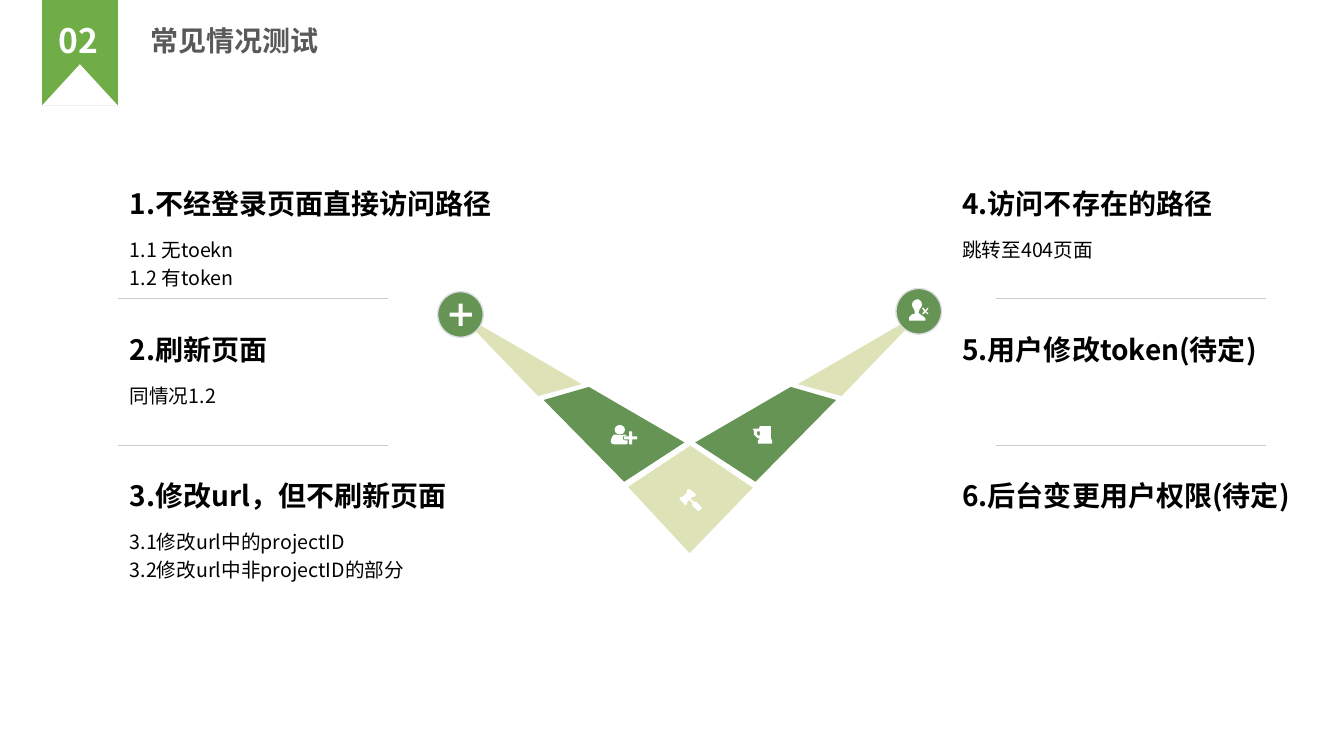
"""Build the slide on common test situations."""
from dataclasses import dataclass

from lxml.etree import SubElement
from pptx import Presentation
from pptx.dml.color import RGBColor
from pptx.enum.shapes import MSO_CONNECTOR, MSO_SHAPE
from pptx.enum.text import MSO_AUTO_SIZE, PP_ALIGN
from pptx.oxml.ns import qn
from pptx.util import Cm, Pt

FONT = "Noto Sans CJK SC"
WHITE = RGBColor(0xFF, 0xFF, 0xFF)
BLACK = RGBColor(0x00, 0x00, 0x00)
GREY = RGBColor(0x59, 0x59, 0x59)
RIBBON = RGBColor(0x70, 0xAD, 0x47)
GREEN = RGBColor(0x66, 0x94, 0x55)
PALE = RGBColor(0xDD, 0xE2, 0xB7)
RING = RGBColor(0xDC, 0xDE, 0xE0)
RULE = RGBColor(0xCC, 0xCC, 0xCC)

Outline = list[tuple[float, float]]
MIRROR_SUM = 34.77
FIRST_ROW, ROW_STEP = 4.7, 3.68
HEADING_WIDTH, BODY_WIDTH = 9.5, 7.26
FIRST_RULE, RULE_STEP, RULE_WIDTH = 7.52, 3.71, 6.81


@dataclass
class Case:
    heading: str
    body: str = ""


@dataclass
class Column:
    left: float
    rule_left: float
    cases: list[Case]


@dataclass
class Preset:
    kind: MSO_SHAPE
    left: float
    top: float
    width: float
    height: float
    fill: RGBColor = WHITE
    line: RGBColor | None = None
    adjustment: float | None = None


@dataclass
class TextStyle:
    size: int
    color: RGBColor = BLACK
    bold: bool = True
    align: PP_ALIGN = PP_ALIGN.LEFT
    spacing: float = 1.0


HEADING = TextStyle(20)
BODY = TextStyle(14, bold=False, spacing=1.2)

COLUMNS = [
    Column(3.27, 2.97, [
        Case("1.不经登录页面直接访问路径", "1.1 无toekn\n1.2 有token"),
        Case("2.刷新页面", "同情况1.2"),
        Case("3.修改url，但不刷新页面",
             "3.1修改url中的projectID\n3.2修改url中非projectID的部分"),
    ]),
    Column(24.25, 25.1, [
        Case("4.访问不存在的路径", "跳转至404页面"),
        Case("5.用户修改token(待定)"),
        Case("6.后台变更用户权限(待定)"),
    ]),
]

RIBBON_PARTS = [
    Preset(MSO_SHAPE.RECTANGLE, 1.06, 0, 1.91, 2.66, RIBBON),
    Preset(MSO_SHAPE.ISOSCELES_TRIANGLE, 1.06, 1.62, 1.91, 1.04),
]
BADGE_PARTS = [
    Preset(MSO_SHAPE.OVAL, 11.03, 7.35, 1.15, 1.15, GREEN, RING),
    Preset(MSO_SHAPE.OVAL, 22.58, 7.27, 1.15, 1.15, GREEN, RING),
    Preset(MSO_SHAPE.CROSS, 11.33, 7.65, 0.56, 0.56, adjustment=0.41),
    Preset(MSO_SHAPE.OVAL, 15.49, 10.71, 0.26, 0.24),
    Preset(MSO_SHAPE.CROSS, 15.73, 10.87, 0.33, 0.33, adjustment=0.39),
]

OUTER_WEDGE: Outline = [(13.56, 9.98), (14.66, 9.68), (11.51, 7.85)]
INNER_WEDGE: Outline = [(14.84, 9.75), (13.7, 10.08), (15.73, 12.14), (17.25, 11.15)]
TIP: Outline = [(17.4, 11.23), (15.83, 12.27), (17.38, 13.94), (18.97, 12.29)]

ICONS: dict[str, list[Outline]] = {
    "user with cross": [
        [(22.91, 8.08), (22.91, 8.0), (22.97, 7.93), (23.06, 7.9), (23.04, 7.8),
         (23.0, 7.74), (22.98, 7.67), (23.01, 7.6), (23.08, 7.55), (23.14, 7.54),
         (23.21, 7.59), (23.24, 7.67), (23.22, 7.74), (23.17, 7.8), (23.15, 7.89),
         (23.25, 7.96), (23.32, 8.02), (23.32, 8.08)],
        [(23.32, 7.82), (23.27, 7.75), (23.24, 7.77), (23.29, 7.85), (23.24, 7.9),
         (23.27, 7.92), (23.32, 7.87), (23.38, 7.92), (23.4, 7.9), (23.34, 7.85),
         (23.4, 7.77), (23.38, 7.75)],
    ],
    "user body": [
        [(15.39, 11.13), (15.42, 11.02), (15.47, 10.95), (15.52, 10.95),
         (15.62, 10.97), (15.75, 10.95), (15.8, 10.97), (15.7, 11.0),
         (15.7, 11.07), (15.75, 11.1), (15.82, 11.1), (15.82, 11.18),
         (15.77, 11.2), (15.49, 11.2), (15.42, 11.18)],
    ],
    "mug": [
        [(19.46, 11.18), (19.1, 11.18), (19.1, 11.1), (19.15, 11.05), (19.1, 11.05),
         (19.0, 10.95), (19.0, 10.85), (18.97, 10.82), (19.0, 10.8), (19.13, 10.8),
         (19.15, 10.74), (19.43, 10.74), (19.43, 11.05), (19.46, 11.1)],
        [(19.15, 10.87), (19.08, 10.87), (19.08, 10.95), (19.1, 10.97), (19.15, 10.97)],
    ],
    "gavel": [
        [(17.68, 12.83), (17.6, 12.88), (17.45, 12.75), (17.45, 12.67), (17.37, 12.6),
         (17.32, 12.65), (17.32, 12.7), (17.27, 12.73), (17.12, 12.57), (17.15, 12.52),
         (17.2, 12.52), (17.32, 12.4), (17.32, 12.34), (17.37, 12.32), (17.53, 12.45),
         (17.53, 12.5), (17.48, 12.52), (17.45, 12.52), (17.4, 12.57), (17.5, 12.65),
         (17.55, 12.65), (17.68, 12.78)],
    ],
}


def paint(shape, fill: RGBColor, line: RGBColor | None = None) -> None:
    shape.shadow.inherit = False
    shape.fill.solid()
    shape.fill.fore_color.rgb = fill
    if line is None:
        shape.line.fill.background()
    else:
        shape.line.color.rgb = line
        shape.line.width = Pt(1)


def add_preset(page, preset: Preset) -> None:
    shape = page.shapes.add_shape(preset.kind, Cm(preset.left), Cm(preset.top),
                                  Cm(preset.width), Cm(preset.height))
    if preset.adjustment is not None:
        shape.adjustments[0] = preset.adjustment
    paint(shape, preset.fill, preset.line)


def add_outlines(page, outlines: list[Outline], fill: RGBColor) -> None:
    contours = [[(Cm(x), Cm(y)) for x, y in outline] for outline in outlines]
    builder = page.shapes.build_freeform(*contours[0][0])
    builder.add_line_segments(contours[0][1:], close=True)
    for contour in contours[1:]:
        builder.move_to(*contour[0])
        builder.add_line_segments(contour[1:], close=True)
    paint(builder.convert_to_shape(), fill)


def add_text(page, text: str, left: float, top: float, width: float, height: float,
             style: TextStyle, wrap: bool = True, inset: bool = False) -> None:
    box = page.shapes.add_textbox(Cm(left), Cm(top), Cm(width), Cm(height))
    frame = box.text_frame
    frame.text = text
    frame.word_wrap = wrap
    if inset:
        frame.auto_size = MSO_AUTO_SIZE.SHAPE_TO_FIT_TEXT
    else:
        frame.margin_left = frame.margin_right = 0
        frame.margin_top = frame.margin_bottom = 0
    for para in frame.paragraphs:
        para.alignment = style.align
        para.line_spacing = style.spacing
        for span in para.runs:
            span.font.size = Pt(style.size)
            span.font.bold = style.bold
            span.font.color.rgb = style.color
            span.font.name = FONT
            SubElement(span.font._element, qn("a:ea"), typeface=FONT)


def add_rule(page, left: float, top: float) -> None:
    rule = page.shapes.add_connector(MSO_CONNECTOR.STRAIGHT, Cm(left), Cm(top),
                                     Cm(left + RULE_WIDTH), Cm(top))
    rule.line.color.rgb = RULE
    rule.line.width = Pt(0.5)
    SubElement(rule._element.spPr, qn("a:effectLst"))


def add_column(page, column: Column) -> None:
    for row, case in enumerate(column.cases):
        top = FIRST_ROW + row * ROW_STEP
        add_text(page, case.heading, column.left, top, HEADING_WIDTH, 0.86, HEADING, wrap=False)
        if case.body:
            add_text(page, case.body, column.left, top + 1.17, BODY_WIDTH, 1.42, BODY)
    for row in range(len(column.cases) - 1):
        add_rule(page, column.rule_left, FIRST_RULE + row * RULE_STEP)


def main() -> None:
    deck = Presentation()
    deck.slide_width, deck.slide_height = Cm(33.87), Cm(19.05)
    page = deck.slides.add_slide(deck.slide_layouts[6])
    for part in RIBBON_PARTS:
        add_preset(page, part)
    add_text(page, "02", 1.02, 0.38, 1.91, 1.27,
             TextStyle(24, WHITE, align=PP_ALIGN.CENTER), inset=True)
    add_text(page, "常见情况测试", 3.55, 0.48, 7.9, 1.12, TextStyle(20, GREY), inset=True)
    for wedge, fill in ((OUTER_WEDGE, PALE), (INNER_WEDGE, GREEN)):
        add_outlines(page, [wedge], fill)
        add_outlines(page, [[(MIRROR_SUM - x, y) for x, y in wedge]], fill)
    add_outlines(page, [TIP], PALE)
    for part in BADGE_PARTS:
        add_preset(page, part)
    for outlines in ICONS.values():
        add_outlines(page, outlines, WHITE)
    for column in COLUMNS:
        add_column(page, column)
    deck.save("out.pptx")


if __name__ == "__main__":
    main()
